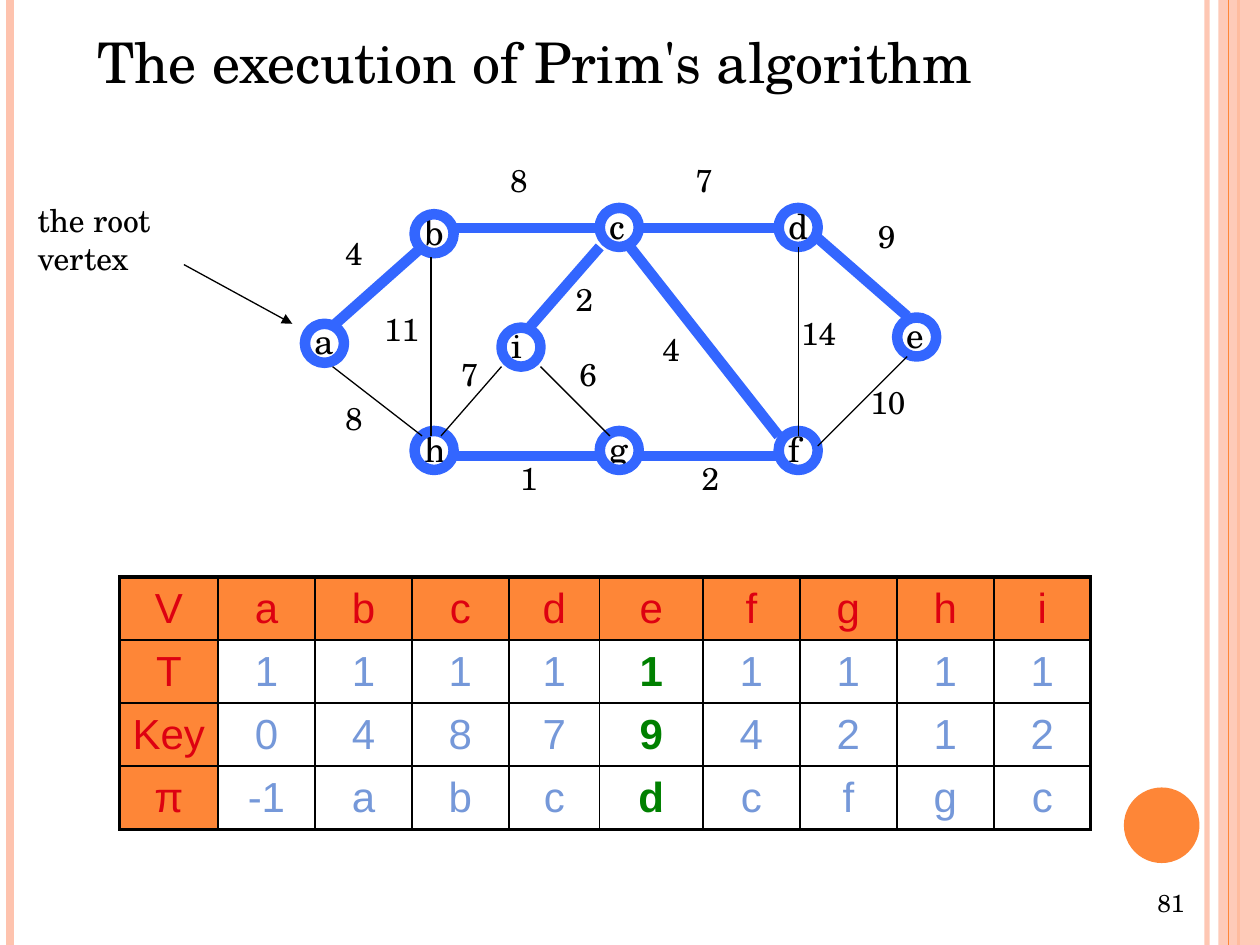
from lxml import etree
from pptx import Presentation
from pptx.dml.color import RGBColor
from pptx.enum.shapes import MSO_CONNECTOR, MSO_SHAPE
from pptx.enum.text import MSO_ANCHOR, MSO_AUTO_SIZE, PP_ALIGN
from pptx.oxml.ns import qn
from pptx.util import Inches, Pt

STRAIGHT = MSO_CONNECTOR.STRAIGHT
OVAL, RECTANGLE = MSO_SHAPE.OVAL, MSO_SHAPE.RECTANGLE
LEFT, CENTER, RIGHT = PP_ALIGN.LEFT, PP_ALIGN.CENTER, PP_ALIGN.RIGHT
TOP, MIDDLE = MSO_ANCHOR.TOP, MSO_ANCHOR.MIDDLE

SERIF, SANS = "TeX Gyre Schola", "Arial"
BLACK, ORANGE, PEACH, BLUE = "000000", "FE8637", "FEC3AE", "3366FF"
RED, GREEN, PALE_BLUE = "DD0111", "008000", "7598D9"

RING = 0.31
VERTICES = {  # left and top of each ring
    "a": (2.42, 2.57), "b": (3.29, 1.7), "c": (4.76, 1.65),
    "d": (6.18, 1.65), "e": (7.12, 2.52), "f": (6.18, 3.42),
    "g": (4.76, 3.42), "h": (3.29, 3.42), "i": (3.98, 2.6),
}
TREE_EDGES = [
    ((2.64, 2.59), (3.35, 1.96)),
    ((3.58, 1.81), (4.76, 1.81)),
    ((5.08, 1.81), (6.18, 1.81)),
    ((6.49, 1.89), (7.2, 2.51)),
    ((5, 1.96), (6.18, 3.46)),
    ((5.08, 3.62), (6.18, 3.62)),
    ((3.58, 3.62), (4.76, 3.62)),
    ((4.21, 2.59), (4.76, 1.96)),
]
OTHER_EDGES = [
    ((2.64, 2.91), (3.35, 3.46)),
    ((3.42, 2.04), (3.42, 3.46)),
    ((6.34, 1.96), (6.34, 3.46)),
    ((6.49, 3.54), (7.2, 2.83)),
    ((4.29, 2.91), (4.84, 3.46)),
    ((3.5, 3.46), (3.98, 2.91)),
]
WEIGHTS = [
    ("4", 2.64, 1.81), ("8", 3.95, 1.23), ("7", 5.42, 1.23),
    ("9", 6.87, 1.67), ("10", 6.81, 2.99), ("14", 6.26, 2.44),
    ("4", 5.16, 2.57), ("2", 4.47, 2.17), ("2", 5.47, 3.59),
    ("6", 4.5, 2.77), ("1", 4.03, 3.59), ("7", 3.56, 2.77),
    ("11", 2.95, 2.41), ("8", 2.64, 3.12),
]
STATE_ROWS = [
    ["V", *"abcdefghi"],
    ["T", *"111111111"],
    ["Key", *"048794212"],
    ["π", "-1", *"abcdcfgc"],
]
COLUMN_WIDTHS = [0.78, 0.77, 0.77, 0.77, 0.72, 0.82, 0.77, 0.77, 0.77, 0.77]
ROW_HEIGHT = 0.5
CURRENT_COLUMN = STATE_ROWS[0].index("e")


def rgb(color):
    return RGBColor.from_string(color)


def set_opacity(fill_owner, percent):
    color = next(fill_owner.iter(qn("a:srgbClr")))
    etree.SubElement(color, qn("a:alpha"), val=str(percent * 1000))


def style_text(paragraph, text, size, color=BLACK, font=SERIF, align=LEFT):
    paragraph.text = text
    paragraph.alignment = align
    paragraph.font.size = Pt(size)
    paragraph.font.name = font
    paragraph.font.color.rgb = rgb(color)


def add_text(slide, text, left, top, width, height, size, align=LEFT, wrap=True):
    box = slide.shapes.add_textbox(*map(Inches, (left, top, width, height)))
    box.text_frame.word_wrap = wrap
    style_text(box.text_frame.paragraphs[0], text, size, align=align)


def add_line(slide, start, end, color, width, arrow=False, opacity=100):
    line = slide.shapes.add_connector(STRAIGHT, *map(Inches, (*start, *end)))
    line.line.color.rgb = rgb(color)
    line.line.width = Pt(width)
    properties = line._element.spPr
    if opacity < 100:
        set_opacity(properties, opacity)
    if arrow:
        etree.SubElement(properties.find(qn("a:ln")), qn("a:tailEnd"), type="triangle")
    etree.SubElement(properties, qn("a:effectLst"))


def add_filled_shape(slide, kind, left, top, width, height, color):
    shape = slide.shapes.add_shape(kind, *map(Inches, (left, top, width, height)))
    shape.shadow.inherit = False
    shape.fill.solid()
    shape.fill.fore_color.rgb = rgb(color)
    shape.line.fill.background()
    return shape


def add_side_decoration(slide):
    stripes = [(9.58, PEACH, 3, 93), (0.08, PEACH, 4.5, 100), (9.83, ORANGE, 1.5, 100)]
    for x, color, width, opacity in stripes:
        add_line(slide, (x, 0), (x, 7.5), color, width, opacity=opacity)
    band = add_filled_shape(slide, RECTANGLE, 9.67, 0, 0.33, 7.5, PEACH)
    set_opacity(band._element.spPr, 87)
    add_line(slide, (9.75, 0), (9.75, 7.5), ORANGE, 0.75)
    add_filled_shape(slide, OVAL, 8.92, 6.25, 0.6, 0.6, ORANGE)


def add_title(slide, text):
    title = slide.shapes.title
    title.left, title.top, title.width, title.height = map(Inches, (0.67, 0.17, 8.58, 0.64))
    title.text_frame.auto_size = MSO_AUTO_SIZE.NONE
    title.text_frame.vertical_anchor = TOP
    style_text(title.text_frame.paragraphs[0], text, 32)


def add_vertex(slide, name, left, top):
    label_width = 0.28 if name in "fi" else 0.36
    add_text(slide, name, left - 0.02, top - 0.08, label_width, 0.43, 20, wrap=False)
    ring = slide.shapes.add_shape(OVAL, *map(Inches, (left, top, RING, RING)))
    ring.shadow.inherit = False
    ring.fill.background()
    ring.line.color.rgb = rgb(BLUE)
    ring.line.width = Pt(6)


def add_graph(slide):
    for name, (left, top) in VERTICES.items():
        add_vertex(slide, name, left, top)
    for start, end in OTHER_EDGES:
        add_line(slide, start, end, BLACK, 0.75)
    for start, end in TREE_EDGES:
        add_line(slide, start, end, BLUE, 6)
    for weight, left, top in WEIGHTS:
        width = 0.34 if len(weight) == 1 else 0.48
        add_text(slide, weight, left, top, width, 0.4, 18, wrap=False)


def set_borders(cell, outer_sides):
    """Draw all four borders, thicker on the sides at the table's edge."""
    properties = cell._tc.get_or_add_tcPr()
    for side in "LRTB":
        width = Pt(2.25 if side in outer_sides else 1)
        border = etree.SubElement(properties, qn(f"a:ln{side}"), w=str(width))
        fill = etree.SubElement(border, qn("a:solidFill"))
        etree.SubElement(fill, qn("a:srgbClr"), val=BLACK)


def format_state_cell(cell, text, row, column):
    is_header = row == 0 or column == 0
    is_current = column == CURRENT_COLUMN and not is_header
    at_edge = {
        "L": column == 0, "R": column == len(COLUMN_WIDTHS) - 1,
        "T": row == 0, "B": row == len(STATE_ROWS) - 1,
    }
    set_borders(cell, [side for side, outer in at_edge.items() if outer])
    if is_header:
        cell.fill.solid()
        cell.fill.fore_color.rgb = rgb(ORANGE)
    else:
        cell.fill.background()
    cell.margin_left = cell.margin_right = Inches(0.05)
    cell.vertical_anchor = MIDDLE
    color = RED if is_header else GREEN if is_current else PALE_BLUE
    paragraph = cell.text_frame.paragraphs[0]
    style_text(paragraph, text, 24, color, SANS, CENTER)
    paragraph.font.bold = is_current


def add_state_table(slide):
    size = (sum(COLUMN_WIDTHS), ROW_HEIGHT * len(STATE_ROWS))
    table = slide.shapes.add_table(
        len(STATE_ROWS), len(COLUMN_WIDTHS), *map(Inches, (0.95, 4.58, *size))).table
    table.first_row = table.horz_banding = False
    for column, width in zip(table.columns, COLUMN_WIDTHS):
        column.width = Inches(width)
    for row, values in enumerate(STATE_ROWS):
        for column, text in enumerate(values):
            format_state_cell(table.cell(row, column), text, row, column)


def main():
    presentation = Presentation()
    presentation.slide_width, presentation.slide_height = Inches(10), Inches(7.5)
    slide = presentation.slides.add_slide(presentation.slide_layouts[5])
    add_side_decoration(slide)
    add_text(slide, "81", 7.17, 7, 2.33, 0.35, 14, align=RIGHT)
    add_title(slide, "The execution of Prim's algorithm")
    add_text(slide, "the root vertex", 0.2, 1.55, 1.34, 0.9, 18)
    add_line(slide, (1.46, 2.1), (2.32, 2.57), BLACK, 0.75, arrow=True)
    add_state_table(slide)
    add_graph(slide)
    presentation.save("out.pptx")


if __name__ == "__main__":
    main()
